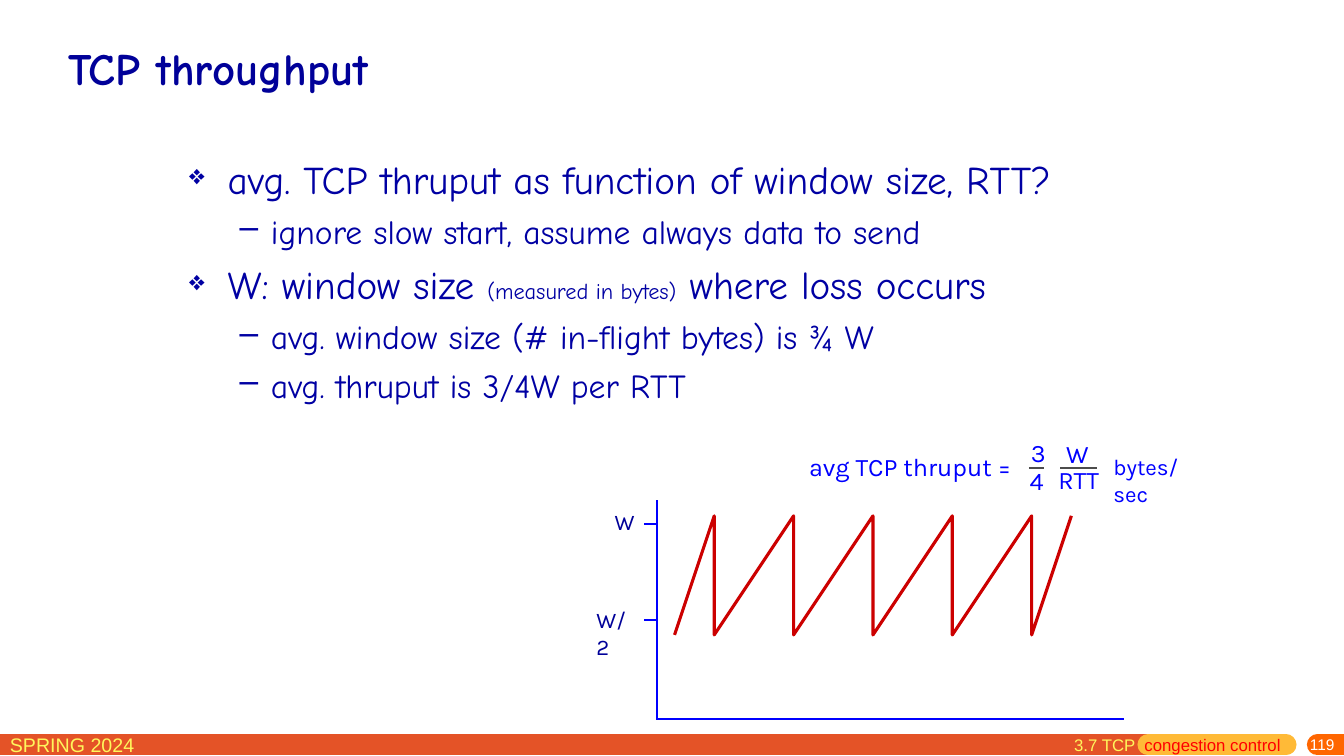
"""Builds the TCP throughput slide."""
from lxml import etree
from pptx import Presentation
from pptx import util as u
from pptx.dml.color import RGBColor
from pptx.enum import shapes, text
from pptx.oxml import ns

NAVY = RGBColor(0x00, 0x00, 0x99)
INK = RGBColor(0x00, 0x00, 0xA3)
BLUE = RGBColor(0x00, 0x00, 0xFF)
RED = RGBColor(0xCC, 0x00, 0x00)
BRIGHT_RED = RGBColor(0xFF, 0x00, 0x00)
GREY = RGBColor(0x4C, 0x4C, 0x4C)
RUST = RGBColor(0xE4, 0x53, 0x27)
AMBER = RGBColor(0xFF, 0xBA, 0x37)
ORANGE = RGBColor(0xFF, 0x66, 0x00)
YELLOW = RGBColor(0xFF, 0xF6, 0x5C)
WHITE = RGBColor(0xFF, 0xFF, 0xFF)

HEADING, LABEL, FOOTER = "Comic Neue", "Karla", "Arial"


class Deck:
    """Holds the presentation, its style and the current slide."""

    def __init__(self):
        self.deck = Presentation()
        self.deck.slide_width, self.deck.slide_height = u.Cm(33.87), u.Cm(19.05)
        self.slide = self.deck.slides.add_slide(self.deck.slide_layouts[6])

    def line(self, start, end, color, width=1.5, cap=None):
        ends = [u.Cm(value) for value in (*start, *end)]
        line = self.slide.shapes.add_connector(shapes.MSO_CONNECTOR.STRAIGHT, *ends)
        line.line.color.rgb = color
        line.line.width = u.Pt(width)
        if cap:
            line.line._get_or_add_ln().set("cap", cap)
        etree.SubElement(line._element.spPr, ns.qn("a:effectLst"))

    def curve(self, points, color, width):
        builder = self.slide.shapes.build_freeform(*points[0], scale=u.Cm(1))
        builder.add_line_segments(points[1:], close=False)
        curve = builder.convert_to_shape()
        curve.shadow.inherit = False
        curve.fill.background()
        curve.line.color.rgb = color
        curve.line.width = u.Pt(width)

    def frame(self, place, wrap=True, anchor=text.MSO_ANCHOR.TOP):
        box = self.slide.shapes.add_textbox(*[u.Cm(value) for value in place])
        box.text_frame.word_wrap = wrap
        box.text_frame.vertical_anchor = anchor
        return box.text_frame

    def run(self, paragraph, words, size, font, color, bold=False):
        run = paragraph.add_run()
        run.text = words
        run.font.size, run.font.name, run.font.bold = u.Pt(size), font, bold
        run.font.color.rgb = color

    def label(self, words, place, size, color, font=LABEL, wrap=False):
        frame = self.frame(place, wrap)
        self.run(frame.paragraphs[0], words, size, font, color)

    def title(self, words, place):
        frame = self.frame(place, anchor=text.MSO_ANCHOR.MIDDLE)
        self.run(frame.paragraphs[0], words, 32, HEADING, NAVY, True)

    def outline(self, points, place):
        frame = self.frame(place)
        styles = [("❖", 70, 0.97, 0.97, 7), ("–", 100, 2.06, 0.79, 6)]
        for index, (level, runs) in enumerate(points):
            bullet, percent, margin, hanging, space = styles[level]
            paragraph = frame.add_paragraph() if index else frame.paragraphs[0]
            paragraph.level = level
            if index:
                paragraph.space_before = u.Pt(space)
            props = paragraph._p.get_or_add_pPr()
            props.set("marL", str(u.Cm(margin)))
            props.set("indent", str(-u.Cm(hanging)))
            etree.SubElement(props, ns.qn("a:buSzPct")).set("val", str(percent * 1000))
            etree.SubElement(props, ns.qn("a:buChar")).set("char", bullet)
            for words, size in runs:
                self.run(paragraph, words, size, HEADING, INK)

    def footer(self):
        self.line((0, 18.77), (28.93, 18.77), RUST, 15)
        self.line((28.93, 18.77), (32.41, 18.77), AMBER, 15, "rnd")
        self.line((33.2, 18.77), (33.87, 18.77), ORANGE, 15, "rnd")
        self.label("SPRING 2024", (0, 18.34, 5.82, 0.79), 14, YELLOW, FOOTER, True)
        number = self.frame((27.3, 18.59, 6.58, 0.46), anchor=text.MSO_ANCHOR.MIDDLE)
        number.margin_top, number.margin_bottom = u.Cm(0), u.Cm(0.13)
        number.paragraphs[0].alignment = text.PP_ALIGN.RIGHT
        self.run(number.paragraphs[0], "119", 11, FOOTER, WHITE)
        section = self.frame((26.82, 18.39, 5.92, 0.79)).paragraphs[0]
        self.run(section, "3.7 TCP ", 12, FOOTER, YELLOW)
        self.run(section, " congestion control", 12, FOOTER, BRIGHT_RED)

    def sawtooth(self):
        left, period, peak, trough, teeth = 16.56, 1.82, 13.18, 15.67, 6
        points = [(left, trough)]
        for tooth in range(1, teeth + 1):
            x = left + period * tooth
            points += [(x, peak), (x, trough)]
        self.curve(points[:-1], RED, 2.25)
        self.line((16.54, 18.11), (28.32, 18.11), BLUE)
        self.line((left, 12.6), (left, 18.14), BLUE)
        for tick in (13.21, 15.62):
            self.line((16.23, tick), (left, tick), BLUE)
        self.label("W", (15.24, 12.67, 1.02, 0.94), 16, NAVY)
        self.label("W/2", (14.78, 15.14, 1.5, 0.94), 16, NAVY, wrap=True)

    def formula(self):
        for words, place in [
            ("avg TCP thruput =", (20.14, 11.25, 5.94, 1.02)),
            ("3", (25.73, 10.9, 0.86, 1.02)),
            ("4", (25.7, 11.61, 0.86, 1.02)),
            ("W", (26.62, 10.92, 1.09, 1.02)),
            ("RTT", (26.42, 11.58, 1.65, 1.02)),
        ]:
            self.label(words, place, 18, BLUE)
        for start, end in ((25.93, 26.31), (26.72, 27.64)):
            self.line((start, 11.79), (end, 11.79), GREY)
        self.label("bytes/sec", (27.81, 11.3, 2.8, 0.94), 16, BLUE, wrap=True)


def main():
    talk = Deck()
    talk.footer()
    talk.outline([
        (0, [("avg. TCP thruput as function of window size, RTT?", 28)]),
        (1, [("ignore slow start, assume always data to send", 24)]),
        (0, [("W: window size ", 28), ("(measured in bytes)", 16),
             (" where loss occurs", 28)]),
        (1, [("avg. window size (# in-flight bytes) is ¾ W", 24)]),
        (1, [("avg. thruput is 3/4W per RTT", 24)]),
    ], (4.52, 3.78, 24.38, 12.9))
    talk.sawtooth()
    talk.formula()
    talk.title("TCP throughput", (1.47, 0.71, 30.94, 2.01))
    talk.deck.save("out.pptx")


if __name__ == "__main__":
    main()
